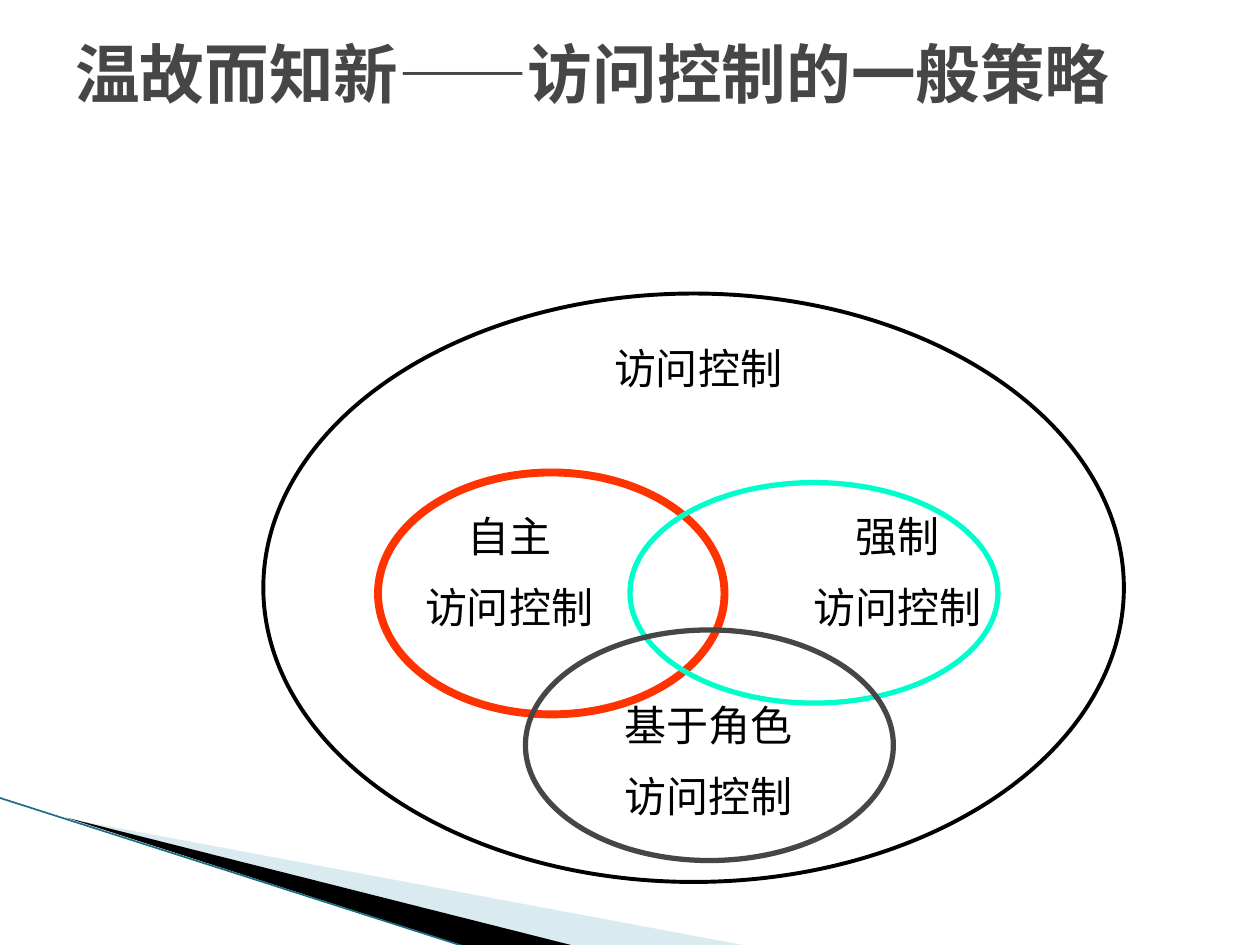
import pptx
import pptx.util
import pptx.dml.color
import pptx.enum.shapes
import pptx.enum.text
import pptx.oxml.ns
from lxml import etree

Inches = pptx.util.Inches
Pt = pptx.util.Pt
ALIGN = pptx.enum.text.PP_ALIGN
ANCHOR = pptx.enum.text.MSO_ANCHOR

TITLE_FORMAT = {"name": "Courier New", "size": Pt(36.9), "bold": True}
LABEL_FORMAT = {"name": "Times New Roman", "size": Pt(24)}
BLACK, GRAY = "000000", "464646"


def color(hex_string):
    return pptx.dml.color.RGBColor.from_string(hex_string)


class SlideBuilder:
    """Holds the current slide and draws its elements."""

    def __init__(self, slide):
        self.slide = slide

    def wedge(self, points, fill, alpha=None):
        start, *others = [(Inches(x), Inches(y)) for x, y in points]
        builder = self.slide.shapes.build_freeform(*start)
        builder.add_line_segments(others, close=True)
        shape = builder.convert_to_shape()
        shape.shadow.inherit = False
        shape.fill.solid()
        shape.fill.fore_color.rgb = color(fill)
        shape.line.fill.background()
        if alpha is not None:
            fill_color = shape.fill._xPr.find(".//" + pptx.oxml.ns.qn("a:srgbClr"))
            etree.SubElement(fill_color, pptx.oxml.ns.qn("a:alpha"), val=str(alpha * 1000))

    def line(self, start, end, line_color, width):
        connector = self.slide.shapes.add_connector(
            pptx.enum.shapes.MSO_CONNECTOR.STRAIGHT, *map(Inches, start + end))
        connector.line.color.rgb = color(line_color)
        connector.line.width = Pt(width)
        etree.SubElement(connector._element.spPr, pptx.oxml.ns.qn("a:effectLst"))

    def ellipse(self, box, line_color, width):
        shape = self.slide.shapes.add_shape(
            pptx.enum.shapes.MSO_SHAPE.OVAL, *map(Inches, box))
        shape.shadow.inherit = False
        shape.fill.background()
        shape.line.color.rgb = color(line_color)
        shape.line.width = Pt(width)

    def text(self, box, lines, text_format, text_color, align, anchor=ANCHOR.TOP, space=0):
        frame = self.slide.shapes.add_textbox(*map(Inches, box)).text_frame
        frame.word_wrap = True
        frame.vertical_anchor = anchor
        for index, line in enumerate(lines):
            paragraph = frame.add_paragraph() if index else frame.paragraphs[0]
            paragraph.alignment = align
            paragraph.space_before = Pt(space)
            run = paragraph.add_run()
            run.text = line
            for name, value in text_format.items():
                setattr(run.font, name, value)
            run.font.color.rgb = color(text_color)

    def label(self, left, top, lines):
        height = 0.5 if len(lines) == 1 else 1.1
        self.text((left, top, 1.58, height), lines, LABEL_FORMAT, BLACK, ALIGN.CENTER, space=12)


def main():
    presentation = pptx.Presentation()
    presentation.slide_width = Inches(10)
    presentation.slide_height = Inches(7.5)
    builder = SlideBuilder(presentation.slides.add_slide(presentation.slide_layouts[6]))

    # Corner decoration
    builder.wedge([(0.55, 6.5), (5.95, 7.51), (4.56, 7.51)], "A0CBDC", alpha=40)
    builder.wedge([(0.53, 6.49), (4.57, 7.51), (3.72, 7.52)], BLACK)
    builder.line((-0.01, 6.33), (3.71, 7.52), "1B6F83", 0.95)

    # Access control as a whole
    builder.ellipse((2.09, 2.33, 6.83, 4.67), BLACK, 2.25)

    # Labels of the three policies
    for left, top, policy in ((3.25, 4, "自主"), (6.33, 4, "强制"), (4.83, 5.5, "基于角色")):
        builder.label(left, top, [policy, "访问控制"])

    # Overlapping policy sets
    builder.ellipse((3, 3.75, 2.75, 1.92), "FF3300", 4.5)
    builder.ellipse((5, 3.83, 2.92, 1.75), "00FFCC", 3)
    builder.ellipse((4.17, 5, 2.92, 1.83), GRAY, 3)
    builder.label(4.75, 2.67, ["访问控制"])

    # Title
    builder.text((0.5, 0.01, 9, 1.14), ["温故而知新——访问控制的一般策略"],
                 TITLE_FORMAT, GRAY, ALIGN.LEFT, ANCHOR.MIDDLE)

    presentation.save("out.pptx")


if __name__ == "__main__":
    main()
